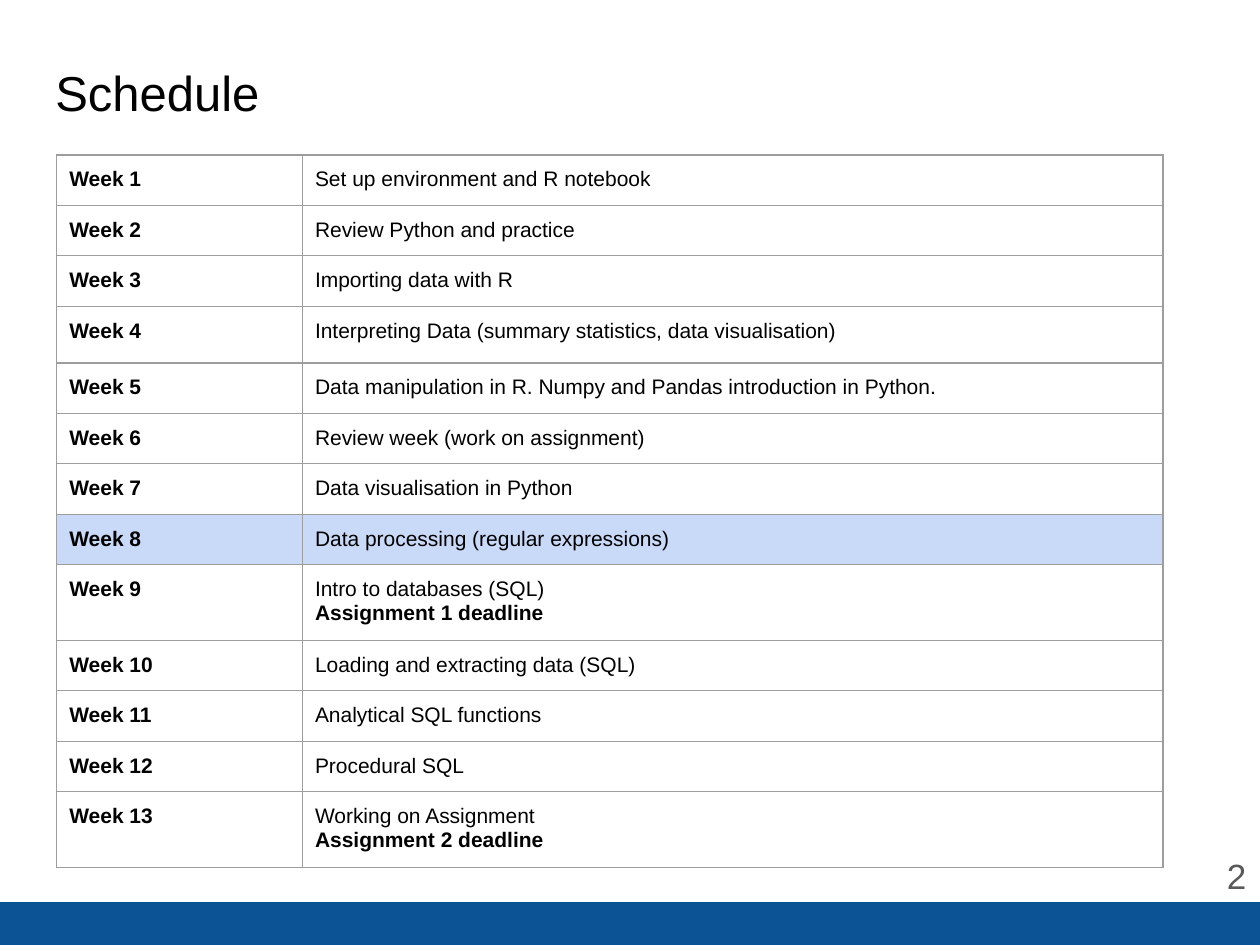
"""Build the Schedule slide with its weekly table and footer bar."""
from lxml import etree
from pptx import Presentation
from pptx.dml.color import RGBColor
from pptx.enum.shapes import MSO_SHAPE
from pptx.enum.text import MSO_ANCHOR as ANCHOR, PP_ALIGN as ALIGN
from pptx.oxml.ns import qn
from pptx.util import Emu, Pt

PX = 9144
INSET = 10 * PX
ROW_H, TALL_H = 40, 57
HEIGHTS = {4: 45, 9: TALL_H, 13: TALL_H}
CURRENT_WEEK = 8
WEEKS = [
    ["Set up environment and R notebook"],
    ["Review Python and practice"],
    ["Importing data with R"],
    ["Interpreting Data (summary statistics, data visualisation)"],
    ["Data manipulation in R. Numpy and Pandas introduction in Python."],
    ["Review week (work on assignment)"],
    ["Data visualisation in Python"],
    ["Data processing (regular expressions)"],
    ["Intro to databases (SQL)", "Assignment 1 deadline"],
    ["Loading and extracting data (SQL)"],
    ["Analytical SQL functions"],
    ["Procedural SQL"],
    ["Working on Assignment", "Assignment 2 deadline"],
]


def rgb(value):
    return RGBColor.from_string(value)


def write(p, text, size=12, color="000000", bold=False, align=ALIGN.LEFT):
    p.alignment = align
    r = p.add_run()
    r.text = text
    r.font.name = "Arial"
    r.font.size = Pt(size)
    r.font.bold = bold
    r.font.color.rgb = rgb(color)


prs = Presentation()
prs.slide_width, prs.slide_height = Emu(1000 * PX), Emu(750 * PX)
s = prs.slides.add_slide(prs.slide_layouts[6])

bar = s.shapes.add_shape(MSO_SHAPE.RECTANGLE, 0, 716 * PX, 1000 * PX, 34 * PX)
bar.shadow.inherit = False
bar.fill.solid()
bar.fill.fore_color.rgb = rgb("0B5394")
bar.line.fill.background()

for text, box, anchor, style in [
    ("Schedule", (34, 40, 932, 83), ANCHOR.TOP, dict(size=28)),
    ("2", (935, 666, 64, 57), ANCHOR.MIDDLE,
     dict(size=20, color="595959", align=ALIGN.RIGHT)),
]:
    tf = s.shapes.add_textbox(*(n * PX for n in box)).text_frame
    tf.word_wrap = True
    tf.vertical_anchor = anchor
    tf.margin_left = tf.margin_right = tf.margin_top = tf.margin_bottom = INSET
    write(tf.paragraphs[0], text, **style)

heights = [HEIGHTS.get(week, ROW_H) for week in range(1, len(WEEKS) + 1)]
table = s.shapes.add_table(len(WEEKS), 2, 45 * PX, 123 * PX,
                           878 * PX, sum(heights) * PX).table
table.first_row = table.horz_banding = False
for column, width in zip(table.columns, (195, 683)):
    column.width = Emu(width * PX)

for week, (row, height, lines) in enumerate(zip(table.rows, heights, WEEKS), 1):
    row.height = Emu(height * PX)
    label = [(f"Week {week}", True)]
    topics = [(line, i > 0) for i, line in enumerate(lines)]
    for cell, content in zip(row.cells, (label, topics)):
        cell.margin_left = cell.margin_right = INSET
        cell.margin_top = cell.margin_bottom = INSET
        tf = cell.text_frame
        for i, (text, bold) in enumerate(content):
            p = tf.add_paragraph() if i else tf.paragraphs[0]
            write(p, text, bold=bold)
        tc_pr = cell._tc.get_or_add_tcPr()
        for side in ("a:lnL", "a:lnR", "a:lnT", "a:lnB"):
            ln = etree.SubElement(tc_pr, qn(side), w=str(Pt(0.75)))
            fill = etree.SubElement(ln, qn("a:solidFill"))
            etree.SubElement(fill, qn("a:srgbClr"), val="9E9E9E")
        cell.fill.solid()
        cell.fill.fore_color.rgb = rgb("C9DAF8" if week == CURRENT_WEEK else "FFFFFF")

prs.save("out.pptx")
